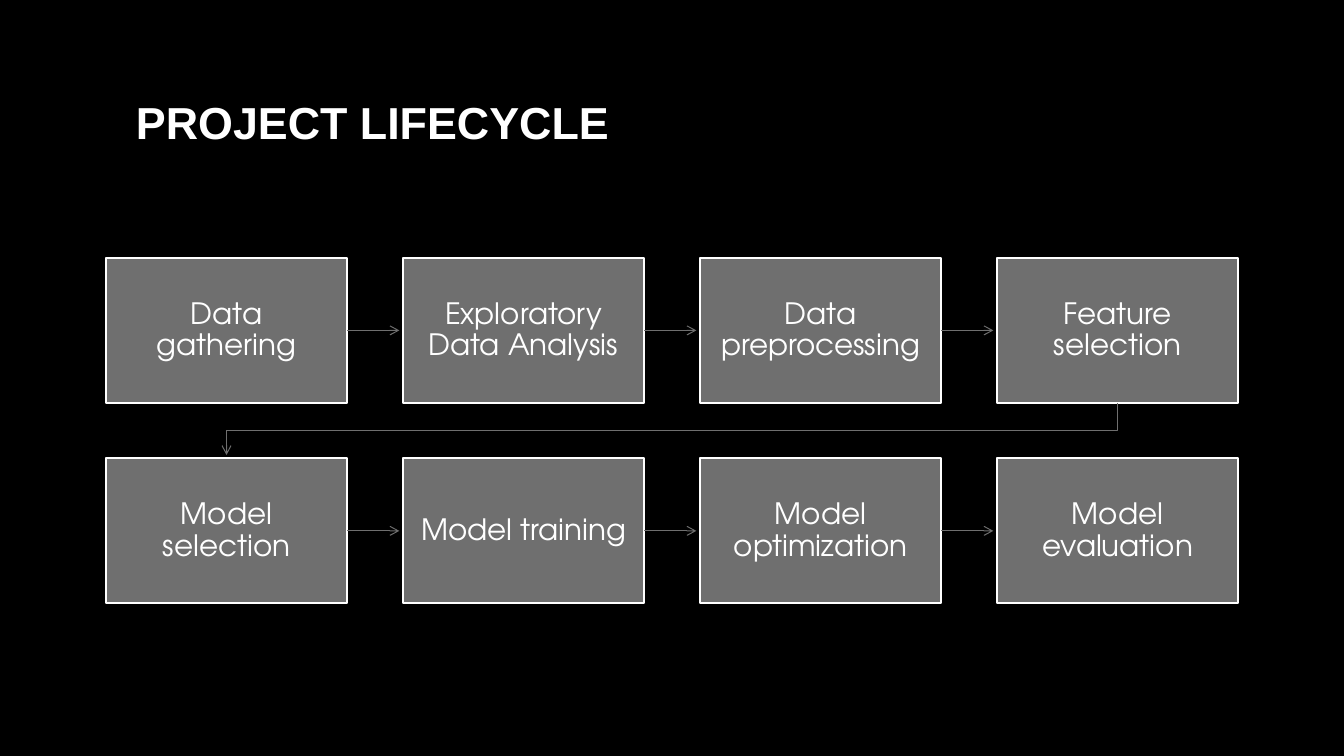
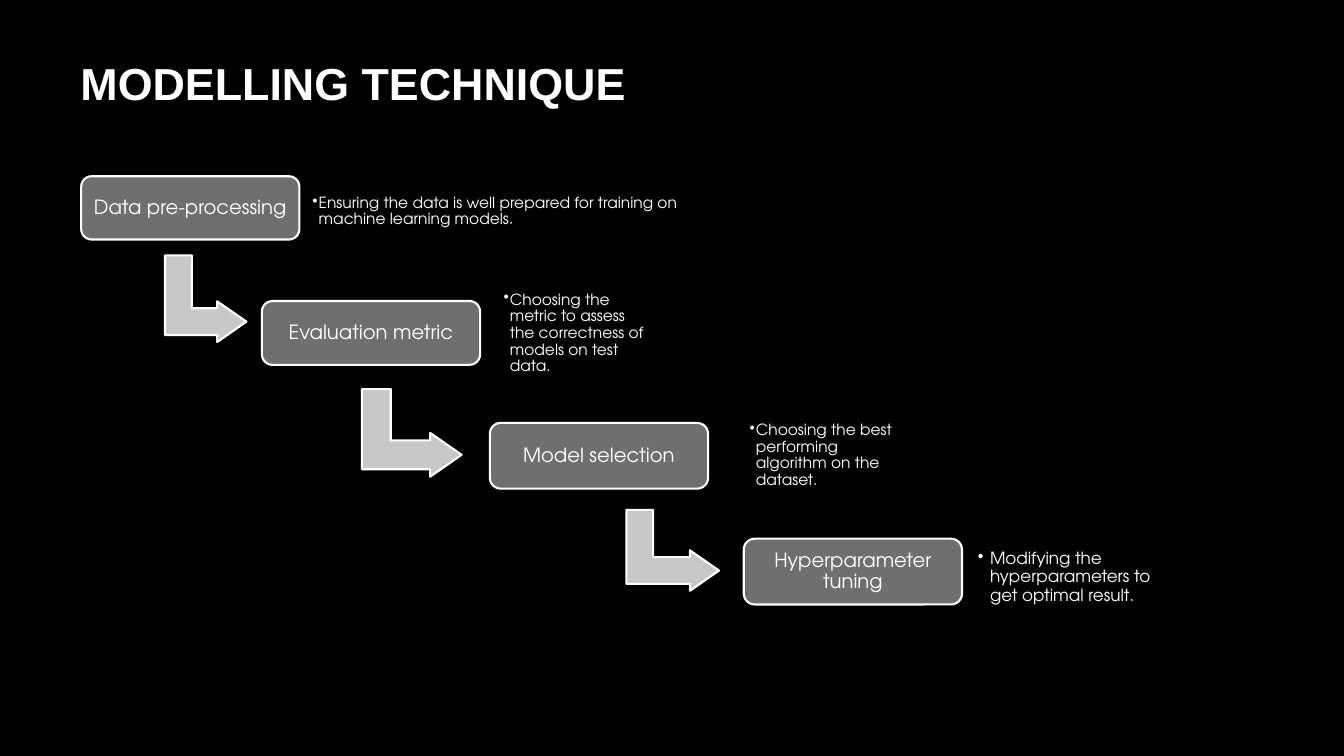
import pptx
import pptx.dml.color
import pptx.enum.shapes
import pptx.enum.text
import pptx.oxml
import pptx.oxml.ns
import pptx.util

Pt = pptx.util.Pt
SHAPES = pptx.enum.shapes.MSO_SHAPE
ALIGN = pptx.enum.text.PP_ALIGN
MIDDLE = pptx.enum.text.MSO_ANCHOR.MIDDLE

BLACK, WHITE, GREY, SILVER = "000000", "FFFFFF", "6F6F6F", "C8C8C8"
TITLE_FONT, BODY_FONT = "Arial", "TeX Gyre Adventor"

LIFECYCLE_TITLE = ("PROJECT LIFECYCLE", (90, 43.5, 780, 86.4))
LIFECYCLE_STAGES = [
    ["Data gathering", "Exploratory Data Analysis", "Data preprocessing", "Feature selection"],
    ["Model selection", "Model training", "Model optimization", "Model evaluation"],
]
GRID_LEFT, GRID_TOP = 75.5, 184.2
COLUMN_PITCH, ROW_PITCH = 212.15, 143.2
STAGE_WIDTH, STAGE_HEIGHT = 172.6, 103.6
ARROW_GAP = 2.4

TECHNIQUE_TITLE = ("MODELLING TECHNIQUE", (50.4, 23.4, 429, 70.6))
STEP_WIDTH, NOTE_HEIGHT = 155.9, 87.8
TECHNIQUE_STEPS = [
    {"name": "Data pre-processing", "at": (58, 125.9), "height": 45.2,
     "note": "Ensuring the data is well prepared for training on machine learning models.",
     "note_at": (219, 107.2, 280), "size": 11, "indent": 4.5, "inset": 4.2,
     "arrow": (116, 184.3, 61.9, 58.2)},
    {"name": "Evaluation metric", "at": (187.1, 215, ), "height": 45.6,
     "note": "Choosing the metric to assess the correctness of models on test data.",
     "note_at": (355.5, 194.3, 113), "size": 11, "indent": 4.5, "inset": 4.2,
     "arrow": (262.8, 273.6, 62.6, 71.3)},
    {"name": "Model selection", "at": (349.9, 302.1), "height": 47,
     "note": "Choosing the best performing algorithm on the dataset.",
     "note_at": (531.2, 281.5, 113), "size": 11, "indent": 4.5, "inset": 4.2,
     "arrow": (451.6, 360, 57.8, 66.2)},
    {"name": "Hyperparameter tuning", "at": (531.3, 384.8), "height": 47,
     "note": "Modifying the hyperparameters to get optimal result.",
     "note_at": (694.8, 368.6, 141), "size": 12, "indent": 8.6, "inset": 3.8},
]


def color(value):
    return pptx.dml.color.RGBColor.from_string(value)


def element(tag, **attributes):
    node = pptx.oxml.parse_xml(f"<a:{tag} {pptx.oxml.ns.nsdecls('a')}/>")
    for name, value in attributes.items():
        node.set(name, value)
    return node


def write(shape, text, font, size, inset=None, align=ALIGN.LEFT, bold=False, spacing=1.0, indent=None):
    frame = shape.text_frame
    frame.word_wrap = True
    frame.vertical_anchor = MIDDLE
    if inset is not None:
        frame.margin_left = frame.margin_right = Pt(inset)
        frame.margin_top = frame.margin_bottom = Pt(inset)
    paragraph = frame.paragraphs[0]
    paragraph.text = text
    if indent is not None:
        properties = paragraph._p.get_or_add_pPr()
        properties.set("marL", str(Pt(indent)))
        properties.set("indent", str(-Pt(indent)))
        properties.append(element("buChar", char="•"))
    paragraph.alignment = align
    paragraph.line_spacing = spacing
    paragraph.font.name = font
    paragraph.font.size = Pt(size)
    paragraph.font.bold = bold
    paragraph.font.color.rgb = color(WHITE)


def add_text(slide, box, *content, **style):
    write(slide.shapes.add_textbox(*map(Pt, box)), *content, **style)


def add_box(slide, kind, box, fill):
    shape = slide.shapes.add_shape(kind, *map(Pt, box))
    shape.shadow.inherit = False
    shape.fill.solid()
    shape.fill.fore_color.rgb = color(fill)
    shape.line.color.rgb = color(WHITE)
    shape.line.width = Pt(1.5)
    return shape


def style_arrow(shape):
    shape.line.color.rgb = color(GREY)
    shape.line.width = Pt(0.75)
    properties = shape._element.spPr
    properties.find(pptx.oxml.ns.qn("a:ln")).append(element("tailEnd", type="arrow"))
    properties.append(element("effectLst"))


def add_arrow(slide, *ends):
    straight = pptx.enum.shapes.MSO_CONNECTOR.STRAIGHT
    style_arrow(slide.shapes.add_connector(straight, *map(Pt, ends)))


def add_bent_arrow(slide, points):
    corners = [(Pt(x), Pt(y)) for x, y in points]
    builder = slide.shapes.build_freeform(*corners[0])
    builder.add_line_segments(corners[1:], close=False)
    shape = builder.convert_to_shape()
    shape.fill.background()
    style_arrow(shape)


def add_slide(presentation, title):
    slide = presentation.slides.add_slide(presentation.slide_layouts[6])
    text, box = title
    add_text(slide, box, text, TITLE_FONT, 32, bold=True)
    return slide


def build_lifecycle(presentation):
    slide = add_slide(presentation, LIFECYCLE_TITLE)
    for row, stages in enumerate(LIFECYCLE_STAGES):
        top = GRID_TOP + row * ROW_PITCH
        middle = top + STAGE_HEIGHT / 2
        for column, name in enumerate(stages):
            left = GRID_LEFT + column * COLUMN_PITCH
            stage = add_box(slide, SHAPES.RECTANGLE, (left, top, STAGE_WIDTH, STAGE_HEIGHT), GREY)
            write(stage, name, BODY_FONT, 21, inset=11.5, align=ALIGN.CENTER, spacing=0.9)
            if column < len(stages) - 1:
                add_arrow(slide, left + STAGE_WIDTH, middle, left + COLUMN_PITCH - ARROW_GAP, middle)
    first_center = GRID_LEFT + STAGE_WIDTH / 2
    last_center = first_center + 3 * COLUMN_PITCH
    row_bottom, next_top = GRID_TOP + STAGE_HEIGHT, GRID_TOP + ROW_PITCH
    turn = (row_bottom + next_top) / 2
    add_bent_arrow(slide, [(last_center, row_bottom), (last_center, turn),
                           (first_center, turn), (first_center, next_top - ARROW_GAP)])


def build_technique(presentation):
    slide = add_slide(presentation, TECHNIQUE_TITLE)
    for step in TECHNIQUE_STEPS:
        if "arrow" in step:
            arrow = add_box(slide, SHAPES.BENT_UP_ARROW, step["arrow"], SILVER)
            arrow.rotation = 90
            for index, value in enumerate((0.33, 0.25, 0.36)):
                arrow.adjustments[index] = value
        box = (*step["at"], STEP_WIDTH, step["height"])
        card = add_box(slide, SHAPES.ROUNDED_RECTANGLE, box, GREY)
        write(card, step["name"], BODY_FONT, 14, inset=4.2, align=ALIGN.CENTER, spacing=0.9)
        add_text(slide, (*step["note_at"], NOTE_HEIGHT), step["note"], BODY_FONT, step["size"],
                 inset=step["inset"], spacing=0.9, indent=step["indent"])


def main():
    presentation = pptx.Presentation()
    presentation.slide_width, presentation.slide_height = Pt(960), Pt(540)
    background = presentation.slide_master.background.fill
    background.solid()
    background.fore_color.rgb = color(BLACK)
    build_lifecycle(presentation)
    build_technique(presentation)
    presentation.save("out.pptx")


if __name__ == "__main__":
    main()
